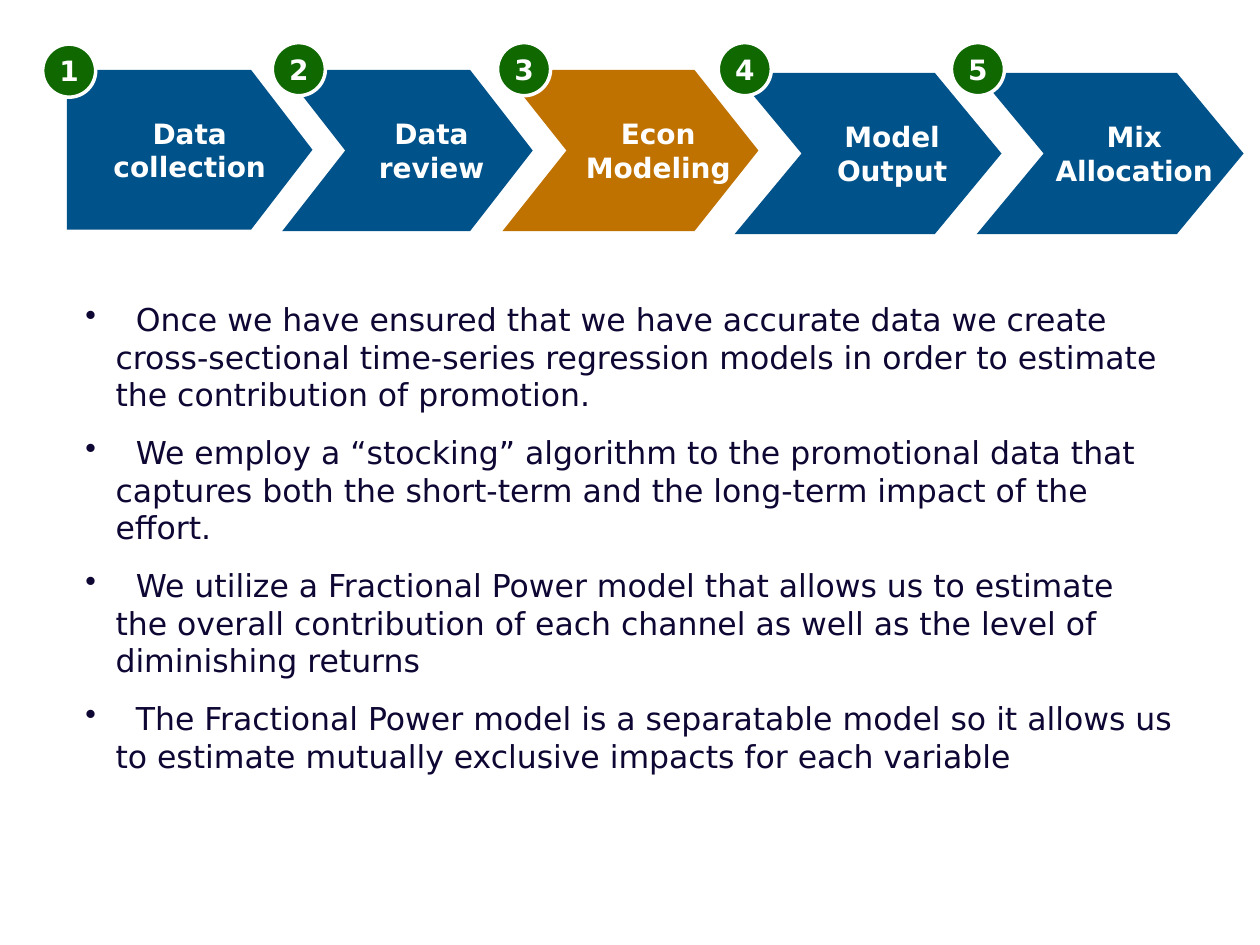
import pptx
import pptx.util
import pptx.dml.color
import pptx.enum.shapes
import pptx.enum.text
from lxml import etree
from pptx.oxml.ns import qn

Cm = pptx.util.Cm
Pt = pptx.util.Pt
RGBColor = pptx.dml.color.RGBColor

BLUE = RGBColor(0x00, 0x52, 0x8A)
ORANGE = RGBColor(0xC0, 0x72, 0x00)
GREEN = RGBColor(0x0F, 0x68, 0x00)
WHITE = RGBColor(0xFF, 0xFF, 0xFF)
NAVY = RGBColor(0x0E, 0x07, 0x33)
FONT = "DejaVu Sans"

STEPS = [
    {"label": "Data collection", "color": BLUE, "box": (1.35, 1.41, 4.95, 3.22),
     "notch": 0, "indent": 0, "badge": (0.86, 0.89)},
    {"label": "Data review", "color": BLUE, "box": (5.69, 1.41, 5.05, 3.25),
     "notch": 1.27, "indent": 0.97, "badge": (5.49, 0.86)},
    {"label": "Econ Modeling", "color": ORANGE, "box": (10.13, 1.41, 5.16, 3.25),
     "notch": 1.29, "indent": 1.12, "badge": (10.03, 0.86)},
    {"label": "Model Output", "color": BLUE, "box": (14.81, 1.47, 5.38, 3.25),
     "notch": 1.35, "indent": 0.97, "badge": (14.48, 0.86)},
    {"label": "Mix Allocation", "color": BLUE, "box": (19.69, 1.47, 5.38, 3.25),
     "notch": 1.35, "indent": 0.97, "badge": (19.18, 0.86)},
]
POINT_RATIO = 0.25
BADGE_SIZE = 1.07

POINTS = [
    "Once we have ensured that we have accurate data we create cross-sectional "
    "time-series regression models in order to estimate the contribution of promotion.",
    "We employ a “stocking” algorithm to the promotional data that captures both "
    "the short-term and the long-term impact of the effort.",
    "We utilize a Fractional Power model that allows us to estimate the overall "
    "contribution of each channel as well as the level of diminishing returns",
    "The Fractional Power model is a separatable model so it allows us to estimate "
    "mutually exclusive impacts for each variable",
]
HANGING = 0.61
FIRST_LINE = 1.02


def set_font(paragraph, size, color, bold=False):
    paragraph.font.name = FONT
    paragraph.font.size = Pt(size)
    paragraph.font.bold = bold
    paragraph.font.color.rgb = color


def write_centred(shape, text, wrap):
    frame = shape.text_frame
    frame.word_wrap = wrap
    frame.vertical_anchor = pptx.enum.text.MSO_ANCHOR.MIDDLE
    paragraph = frame.paragraphs[0]
    paragraph.text = text
    paragraph.alignment = pptx.enum.text.PP_ALIGN.CENTER
    set_font(paragraph, 16, WHITE, bold=True)
    return paragraph


def paint(shape, color):
    shape.shadow.inherit = False
    shape.fill.solid()
    shape.fill.fore_color.rgb = color


def add_arrow(slide, step):
    left, top, width, height = step["box"]
    right, middle, bottom = left + width, top + height / 2, top + height
    shoulder = right - width * POINT_RATIO
    corners = [(shoulder, top), (right, middle), (shoulder, bottom), (left, bottom)]
    if step["notch"]:
        corners.append((left + step["notch"], middle))
    builder = slide.shapes.build_freeform(Cm(left), Cm(top))
    builder.add_line_segments([(Cm(x), Cm(y)) for x, y in corners], close=True)
    arrow = builder.convert_to_shape()
    paint(arrow, step["color"])
    arrow.line.fill.background()
    label = write_centred(arrow, step["label"], wrap=True)
    if step["indent"]:
        label._p.get_or_add_pPr().set("marL", str(Cm(step["indent"])))


def add_badge(slide, number, step):
    left, top = step["badge"]
    badge = slide.shapes.add_shape(
        pptx.enum.shapes.MSO_SHAPE.OVAL,
        Cm(left), Cm(top), Cm(BADGE_SIZE), Cm(BADGE_SIZE))
    paint(badge, GREEN)
    badge.line.color.rgb = WHITE
    badge.line.width = Pt(2)
    write_centred(badge, str(number), wrap=False)


def add_bullet(paragraph):
    properties = paragraph._p.get_or_add_pPr()
    properties.set("marL", str(Cm(HANGING)))
    properties.set("indent", str(-Cm(HANGING)))
    bullet_color = etree.SubElement(properties, qn("a:buClr"))
    etree.SubElement(bullet_color, qn("a:srgbClr"), val=str(NAVY))
    etree.SubElement(properties, qn("a:buChar"), char="•")
    tabs = etree.SubElement(properties, qn("a:tabLst"))
    etree.SubElement(tabs, qn("a:tab"), pos=str(Cm(FIRST_LINE)), algn="l")


def add_points(slide):
    box = slide.shapes.add_textbox(Cm(1.47), Cm(5.92), Cm(22.43), Cm(9.07))
    frame = box.text_frame
    frame.word_wrap = True
    for index, point in enumerate(POINTS):
        paragraph = frame.add_paragraph() if index else frame.paragraphs[0]
        paragraph.text = "\t" + point
        add_bullet(paragraph)
        if index:
            paragraph.space_before = Pt(11.2)
        set_font(paragraph, 18, NAVY)


def main():
    presentation = pptx.Presentation()
    presentation.slide_width = Cm(25.4)
    presentation.slide_height = Cm(19.05)
    slide = presentation.slides.add_slide(presentation.slide_layouts[6])
    for step in STEPS:
        add_arrow(slide, step)
    for number, step in enumerate(STEPS, start=1):
        add_badge(slide, number, step)
    add_points(slide)
    presentation.save("out.pptx")


if __name__ == "__main__":
    main()
